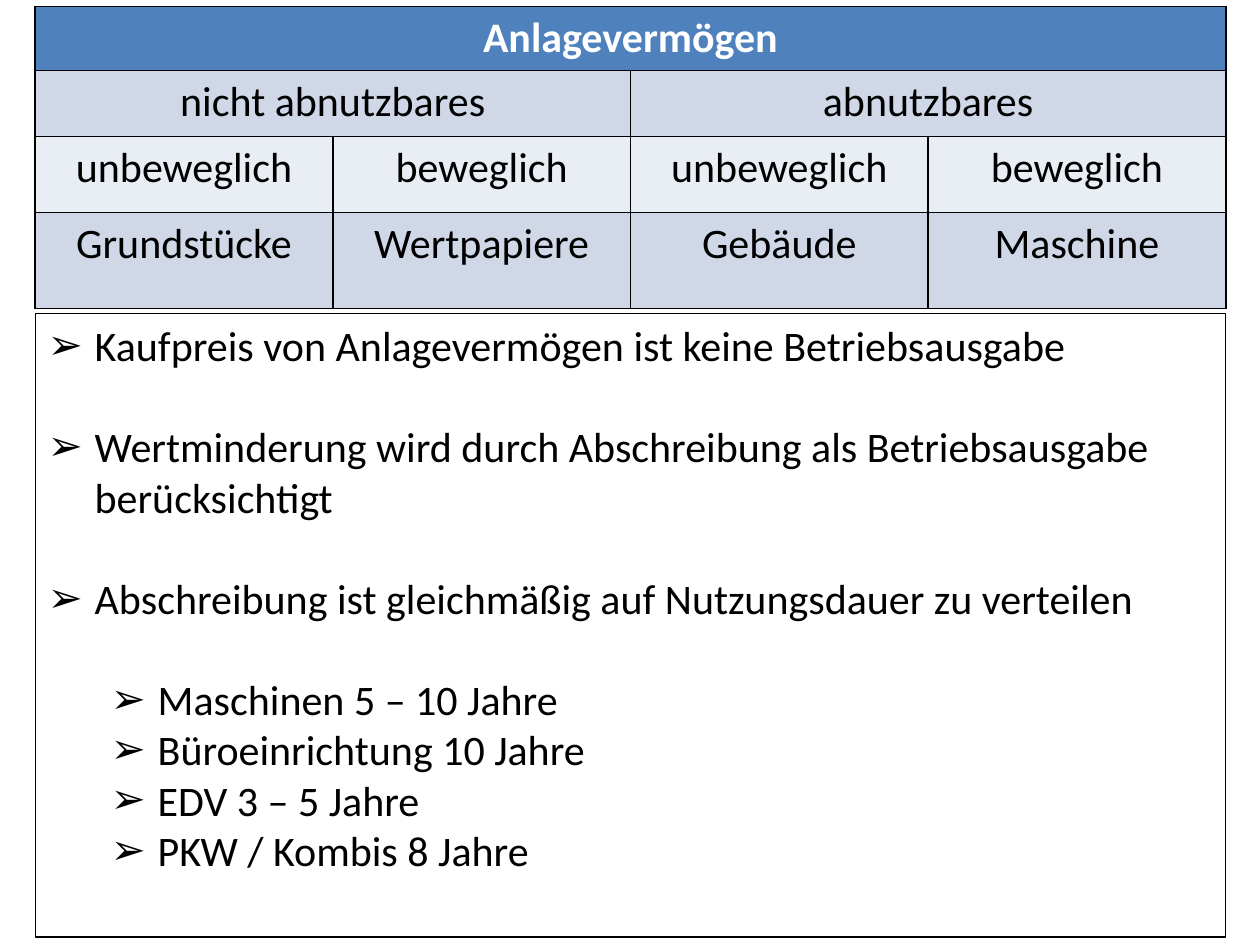
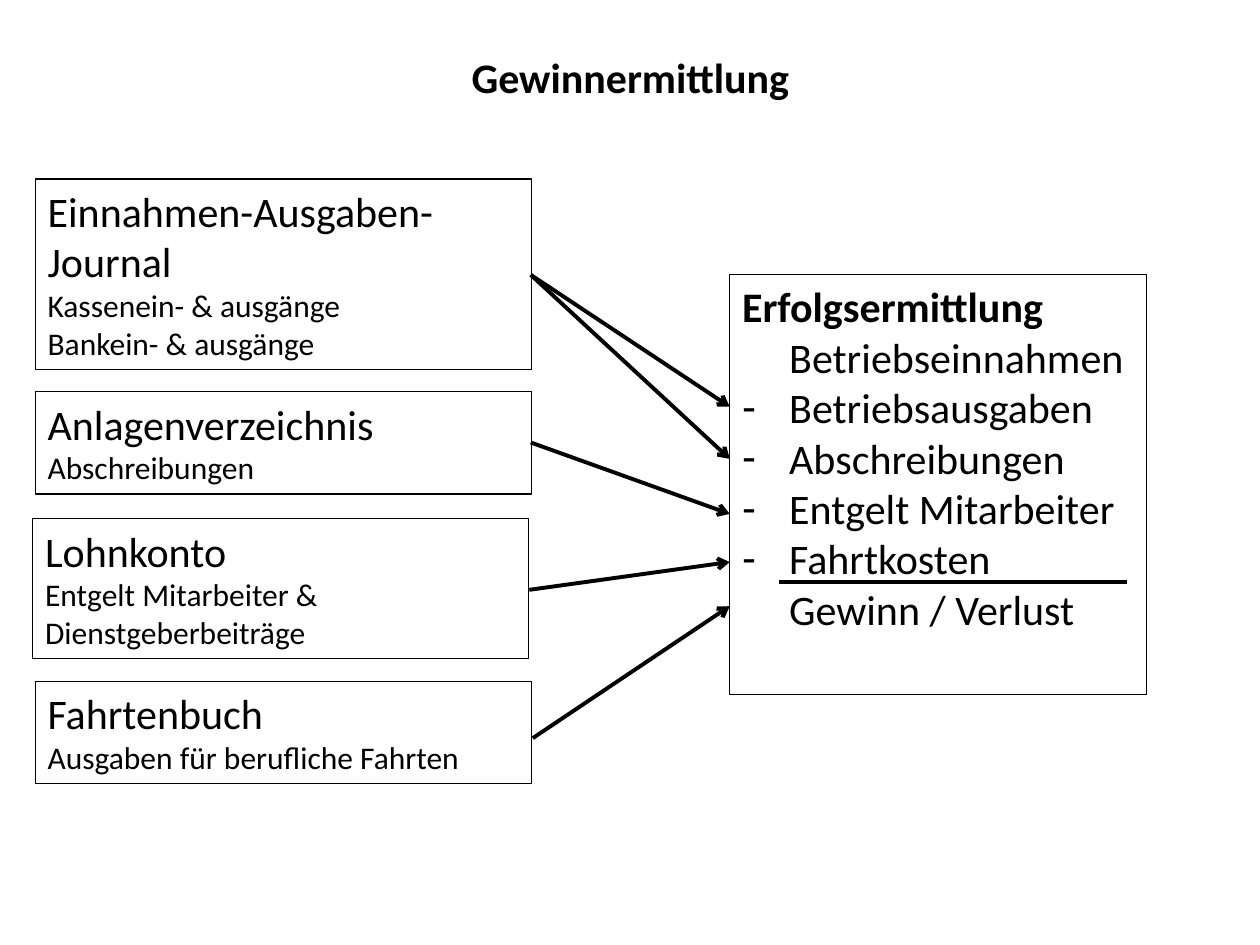
import pptx
import pptx.dml.color
import pptx.enum.shapes
import pptx.enum.text
import pptx.oxml.ns
import pptx.util
from lxml import etree

Cm, Pt = pptx.util.Cm, pptx.util.Pt
rgb = pptx.dml.color.RGBColor.from_string
qn = pptx.oxml.ns.qn
align = pptx.enum.text.PP_ALIGN

ink = {"black": "000000", "white": "FFFFFF", "head": "4F81BD",
       "band": "D0D8E8", "pale": "E9EDF4"}
font = "Calibri"
big, small = 24, 18
left, wide, hang = 0.71, 24.0, 0.95


def write(frame, rows):
    """Fill a frame with rows of text plus optional size, bold, mark, indent, gap, level, side, ink."""
    frame.word_wrap = True
    frame.text = "\n".join(row["text"] for row in rows)
    for par, row in zip(frame.paragraphs, rows):
        par.alignment = row.get("side", align.LEFT)
        par.level = row.get("level", 0)
        par.space_before = Pt(row.get("gap", 0))
        props = par._p.get_or_add_pPr()
        props.set("marL", str(Cm(row.get("indent", 0))))
        props.set("indent", str(-Cm(hang) if "mark" in row else 0))
        if "mark" in row:
            etree.SubElement(props, qn("a:buFont")).set("typeface", "Arial")
            etree.SubElement(props, qn("a:buChar")).set("char", row["mark"])
        else:
            etree.SubElement(props, qn("a:buNone"))
        for run in par.runs:
            run.font.name = font
            run.font.size = Pt(row.get("size", big))
            run.font.bold = row.get("bold", False)
            run.font.color.rgb = rgb(ink[row.get("ink", "black")])


def frame_box(slide, x, y, w, h, rows):
    box = slide.shapes.add_shape(pptx.enum.shapes.MSO_SHAPE.RECTANGLE,
                                 Cm(x), Cm(y), Cm(w), Cm(h))
    box.shadow.inherit = False
    box.fill.background()
    box.line.color.rgb = rgb(ink["black"])
    box.line.width = Pt(0.75)
    box.text_frame.vertical_anchor = pptx.enum.text.MSO_ANCHOR.TOP
    write(box.text_frame, rows)


deck = pptx.Presentation()
deck.slide_width, deck.slide_height = Cm(25.4), Cm(19.05)
blank = deck.slide_layouts[6]

# Slide 1: kinds of fixed assets
assets = deck.slides.add_slide(blank)
grid = [
    (1.29, "head", ["Anlagevermögen"]),
    (1.33, "band", ["nicht abnutzbares", "abnutzbares"]),
    (1.53, "pale", ["unbeweglich", "beweglich"] * 2),
    (1.94, "band", ["Grundstücke", "Wertpapiere", "Gebäude", "Maschine"]),
]
cols = 4
high = sum(row[0] for row in grid)
table = assets.shapes.add_table(len(grid), cols, Cm(left), Cm(0.13),
                                Cm(wide), Cm(high)).table
table.horz_banding = False
for col in table.columns:
    col.width = Cm(wide / cols)
for r, (tall, fill, words) in enumerate(grid):
    table.rows[r].height = Cm(tall)
    span = cols // len(words)
    for c in range(cols):
        cell = table.cell(r, c)
        props = cell._tc.get_or_add_tcPr()
        for edge in ("lnL", "lnR", "lnT", "lnB"):
            line = etree.SubElement(props, qn("a:" + edge), w=str(Pt(1)))
            solid = etree.SubElement(line, qn("a:solidFill"))
            etree.SubElement(solid, qn("a:srgbClr"), val=ink["black"])
        cell.fill.solid()
        cell.fill.fore_color.rgb = rgb(ink[fill])
    for i, word in enumerate(words):
        cell = table.cell(r, i * span)
        if span > 1:
            cell.merge(table.cell(r, (i + 1) * span - 1))
        top = fill == "head"
        write(cell.text_frame, [{"text": word, "side": align.CENTER, "bold": top,
                                 "ink": "white" if top else "black"}])

facts = [
    "Kaufpreis von Anlagevermögen ist keine Betriebsausgabe",
    "Wertminderung wird durch Abschreibung als Betriebsausgabe berücksichtigt",
    "Abschreibung ist gleichmäßig auf Nutzungsdauer zu verteilen",
]
terms = ["Maschinen 5 – 10 Jahre", "Büroeinrichtung 10 Jahre",
         "EDV 3 – 5 Jahre", "PKW / Kombis 8 Jahre"]
skip = 29
rows = [{"text": fact, "mark": "➢", "indent": hang, "gap": skip if i else 0}
        for i, fact in enumerate(facts)]
rows += [{"text": term, "mark": "➢", "indent": hang + 1.27, "level": 1,
          "gap": 0 if i else skip} for i, term in enumerate(terms)]
frame_box(assets, left, 6.32, wide, 12.57, rows)

# Slide 2: from the records to the profit
profit = deck.slides.add_slide(blank)
title = profit.shapes.add_textbox(Cm(left), Cm(0.91), Cm(wide), Cm(1.28))
write(title.text_frame, [{"text": "Gewinnermittlung", "bold": True,
                          "side": align.CENTER}])

books = [
    (left, 3.61, 3.84, ["Einnahmen-Ausgaben-Journal", "Kassenein- & ausgänge",
                        "Bankein- & ausgänge"]),
    (left, 7.9, 2.06, ["Anlagenverzeichnis", "Abschreibungen"]),
    (0.66, 10.46, 2.82, ["Lohnkonto", "Entgelt Mitarbeiter & Dienstgeberbeiträge"]),
    (left, 13.74, 2.06, ["Fahrtenbuch", "Ausgaben für berufliche Fahrten"]),
]
for x, y, h, words in books:
    frame_box(profit, x, y, 10, h, [{"text": word, "size": small if i else big}
                                    for i, word in enumerate(words)])

costs = ["Betriebsausgaben", "Abschreibungen", "Entgelt Mitarbeiter", "Fahrtkosten"]
rows = [{"text": "Erfolgsermittlung", "bold": True},
        {"text": "Betriebseinnahmen", "indent": hang}]
rows += [{"text": cost, "mark": "-", "indent": hang} for cost in costs]
rows += [{"text": "Gewinn / Verlust", "indent": hang}]
goal = 14.71
frame_box(profit, goal, 5.54, 8.41, 8.46, rows)

links = [
    (15.7, 11.73, 22.71, 11.73, False),
    (10.7, 5.54, goal, 8.2, True),
    (10.7, 5.54, goal, 9.25, True),
    (10.7, 8.92, goal, 10.36, True),
    (10.67, 11.89, goal, 11.33, True),
    (10.74, 14.88, goal, 12.22, True),
]
for x1, y1, x2, y2, arrow in links:
    link = profit.shapes.add_connector(pptx.enum.shapes.MSO_CONNECTOR.STRAIGHT,
                                       Cm(x1), Cm(y1), Cm(x2), Cm(y2))
    link.line.color.rgb = rgb(ink["black"])
    link.line.width = Pt(2.25)
    if arrow:
        etree.SubElement(link.line._ln, qn("a:tailEnd"), type="arrow")
    etree.SubElement(link._element.spPr, qn("a:effectLst"))

deck.save("out.pptx")
